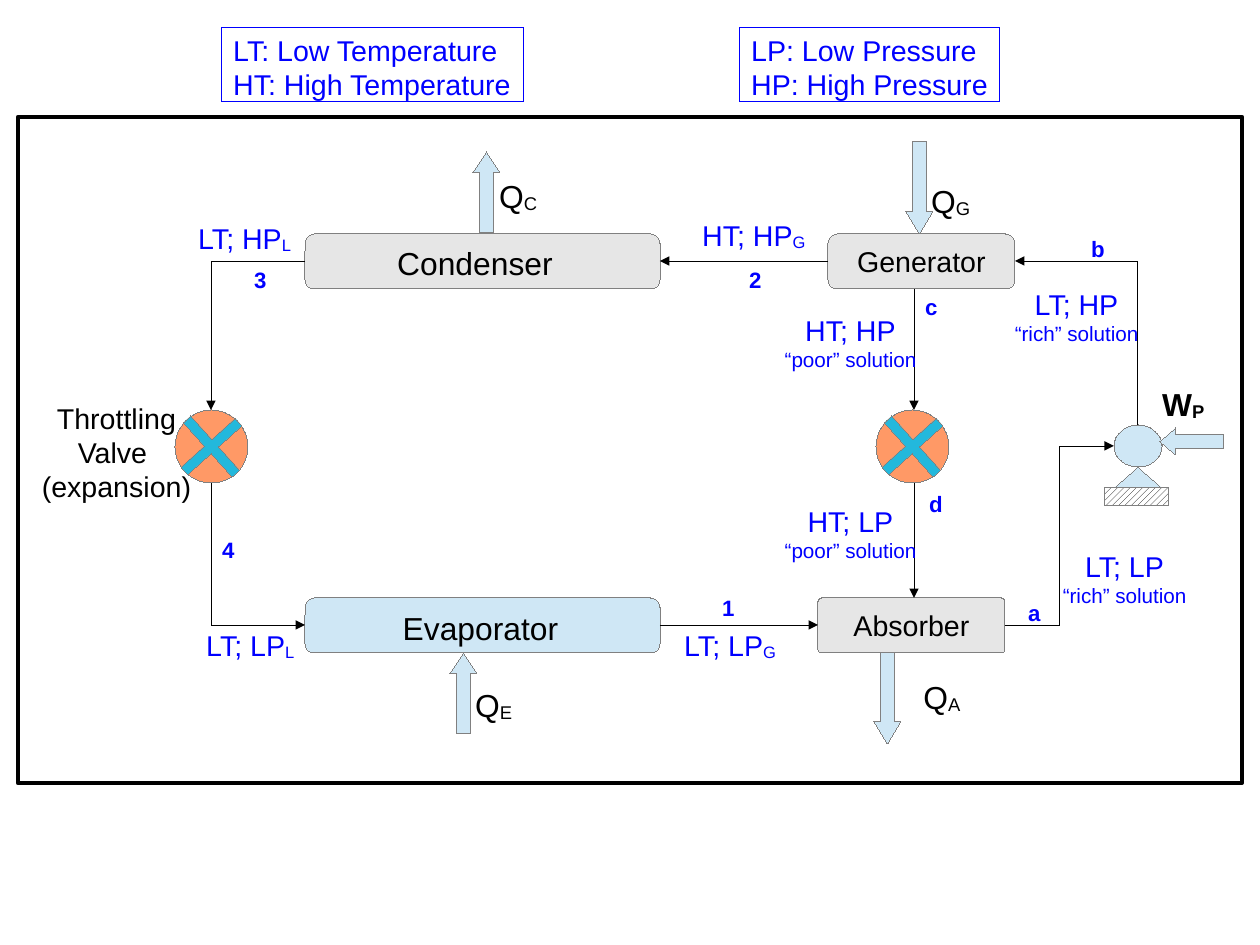
from lxml.etree import SubElement
from pptx import Presentation
from pptx.dml.color import RGBColor
from pptx.enum.dml import MSO_PATTERN as Pat
from pptx.enum.shapes import MSO_CONNECTOR as Link, MSO_SHAPE as Kind
from pptx.enum.text import MSO_ANCHOR as Anchor, MSO_AUTO_SIZE as Fit, PP_ALIGN as Align
from pptx.oxml.ns import qn
from pptx.util import Pt

PX = 8000  # slide of 1260 by 945 px
HAIR = 0.01
BLACK, BLUE, WHITE = "000000", "0000FF", "FFFFFF"
GREY, EDGE, ICE = "E6E6E6", "808080", "CFE7F5"
ORANGE, CYAN = "FF9966", "23B8DC"


def px(*nums):
    return [n * PX for n in nums]


def tint(code):
    return RGBColor.from_string(code)


def write(frame, text, size=18, small=13, color=BLACK, bold=False,
          align=Align.LEFT, wrap=False):
    """Fill a frame; "_" starts a subscript, "~" a line in small type."""
    frame.word_wrap = wrap
    for i, row in enumerate(text.split("\n")):
        para = frame.add_paragraph() if i else frame.paragraphs[0]
        para.alignment = align
        pts = small if row.startswith("~") else size
        for j, part in enumerate(row.lstrip("~").split("_")):
            run = para.add_run()
            run.text = part
            font = run.font
            font.name, font.size, font.bold = "Arial", Pt(pts), bold
            font.color.rgb = tint(color)
            if j:
                run._r.get_or_add_rPr().set("baseline", "-8000")


class Sketch:
    def __init__(self, wide, high):
        self.deck = Presentation()
        self.deck.slide_width, self.deck.slide_height = px(wide, high)
        self.slide = self.deck.slides.add_slide(self.deck.slide_layouts[6])
        self.shapes = self.slide.shapes

    def shape(self, kind, box, fill=ICE, line=EDGE, width=HAIR, adj=(), turn=0):
        item = self.shapes.add_shape(kind, *px(*box))
        item.shadow.inherit = False
        item.fill.solid()
        item.fill.fore_color.rgb = tint(fill)
        item.line.color.rgb = tint(line)
        item.line.width = Pt(width)
        item.rotation = turn
        for i, value in enumerate(adj):
            item.adjustments[i] = value
        return item

    def text(self, box, words, line=None, **style):
        item = self.shapes.add_textbox(*px(*box))
        write(item.text_frame, words, **style)
        item.text_frame.auto_size = Fit.SHAPE_TO_FIT_TEXT
        if line:
            item.line.color.rgb = tint(line)
            item.line.width = Pt(HAIR)

    def unit(self, box, words, adj):
        item = self.shape(Kind.ROUNDED_RECTANGLE, box, GREY, adj=[adj])
        item.text_frame.vertical_anchor = Anchor.MIDDLE
        write(item.text_frame, words, align=Align.CENTER)
        return item

    def valve(self, x, y):
        box = x, y, 73, 73
        disc = self.shape(Kind.OVAL, box, ORANGE)
        self.shape(Kind.CROSS, box, CYAN, adj=[0.432], turn=48)
        return disc

    def flow(self, start, end, link=Link.STRAIGHT, tip="tailEnd"):
        item = self.shapes.add_connector(link, *px(*start, *end))
        item.line.color.rgb = tint(BLACK)
        item.line.width = Pt(HAIR)
        SubElement(item.line._get_or_add_ln(), qn("a:" + tip), type="triangle")
        SubElement(item._element.spPr, qn("a:effectLst"))
        return item

    def bend(self, start, end, source, target, form="bentConnector2", tip="tailEnd"):
        """Join two (shape, site) pairs by an elbow pipe."""
        item = self.flow(start, end, Link.ELBOW, tip)
        item._element.spPr.find(qn("a:prstGeom")).set("prst", form)
        item._connect_begin_to(*source)
        item._connect_end_to(*target)


def main():
    art = Sketch(1260, 945)
    art.shape(Kind.RECTANGLE, (18, 117, 1224, 666), WHITE, BLACK, 2.83)

    cond = art.shape(Kind.ROUNDED_RECTANGLE, (305, 234, 355, 55), GREY)
    evap = art.shape(Kind.ROUNDED_RECTANGLE, (305, 598, 355, 55), ICE)
    art.text((386, 238, 200, 47), "Condenser", size=20, wrap=True)
    art.text((382, 603, 197, 49), "Evaporator", size=20, align=Align.CENTER, wrap=True)
    gen = art.unit((828, 234, 187, 55), "Generator", 0.167)
    sorb = art.unit((818, 598, 187, 55), "Absorber", 0.06)

    left, _ = [art.valve(x, 410) for x in (175, 876)]
    art.text((23, 395, 187, 109), "Throttling\nValve \n(expansion)",
             align=Align.CENTER, wrap=True)

    pump = art.shape(Kind.OVAL, (1114, 425, 48, 42))
    art.shape(Kind.ISOSCELES_TRIANGLE, (1114, 467, 48, 21))
    base = art.shape(Kind.RECTANGLE, (1105, 488, 64, 18))
    base.fill.patterned()
    base.fill.pattern = Pat.WIDE_UPWARD_DIAGONAL
    base.fill.fore_color.rgb = tint(BLACK)
    base.fill.back_color.rgb = tint(WHITE)

    top, low = 261, 625
    art.bend((305, top), (211, 410), (cond, 1), (left, 0))
    art.bend((305, low), (211, 483), (evap, 1), (left, 4), tip="headEnd")
    art.bend((1005, low), (1114, 446), (sorb, 3), (pump, 2), "bentConnector3")
    art.bend((1015, top), (1137, 425), (gen, 3), (pump, 0), tip="headEnd")
    art.flow((828, top), (660, top))
    art.flow((660, low), (818, low))
    art.flow((914, 289), (914, 410))
    art.flow((914, 483), (914, 598))

    for kind, box, head in [
        (Kind.UP_ARROW, (473, 152, 27, 81), 0.75),
        (Kind.UP_ARROW, (450, 653, 27, 81), 0.75),
        (Kind.DOWN_ARROW, (874, 653, 27, 91), 0.84),
        (Kind.DOWN_ARROW, (906, 142, 27, 92), 0.84),
        (Kind.LEFT_ARROW, (1160, 428, 64, 27), 0.58),
    ]:
        art.shape(kind, box, adj=(0.5, head))
    for x, y, words in [(464, 680, "Q_E"), (488, 171, "Q_C"),
                        (912, 672, "Q_A"), (920, 176, "Q_G")]:
        art.text((x, y, 75, 58), words, size=20, wrap=True)
    art.text((1151, 379, 73, 58), "W_P", size=20, bold=True, wrap=True)

    for x, y, wide, words in [
        (187, 215, 117, "LT; HP_L"), (195, 622, 112, "LT; LP_L"),
        (673, 622, 115, "LT; LP_G"), (691, 212, 127, "HT; HP_G"),
    ]:
        art.text((x, y, wide, 54), words, color=BLUE)
    for x, y, wide, state, mix in [
        (773, 307, 155, "HT; HP", "poor"), (773, 498, 155, "HT; LP", "poor"),
        (1051, 543, 147, "LT; LP", "rich"), (1003, 281, 147, "LT; HP", "rich"),
    ]:
        art.text((x, y, wide, 67), f"{state}\n~“{mix}” solution",
                 color=BLUE, align=Align.CENTER)
    for x, y, mark in [
        (711, 589, "1"), (738, 261, "2"), (243, 261, "3"), (211, 531, "4"),
        (1017, 594, "a"), (1080, 230, "b"), (914, 288, "c"), (918, 485, "d"),
    ]:
        art.text((x, y, 35, 37), mark, size=14, color=BLUE, bold=True)

    for x, wide, words in [
        (222, 302, "LT: Low Temperature\nHT: High Temperature"),
        (740, 260, "LP: Low Pressure\nHP: High Pressure"),
    ]:
        art.text((x, 27, wide, 75), words, line=BLUE, color=BLUE)

    art.deck.save("out.pptx")


if __name__ == "__main__":
    main()
